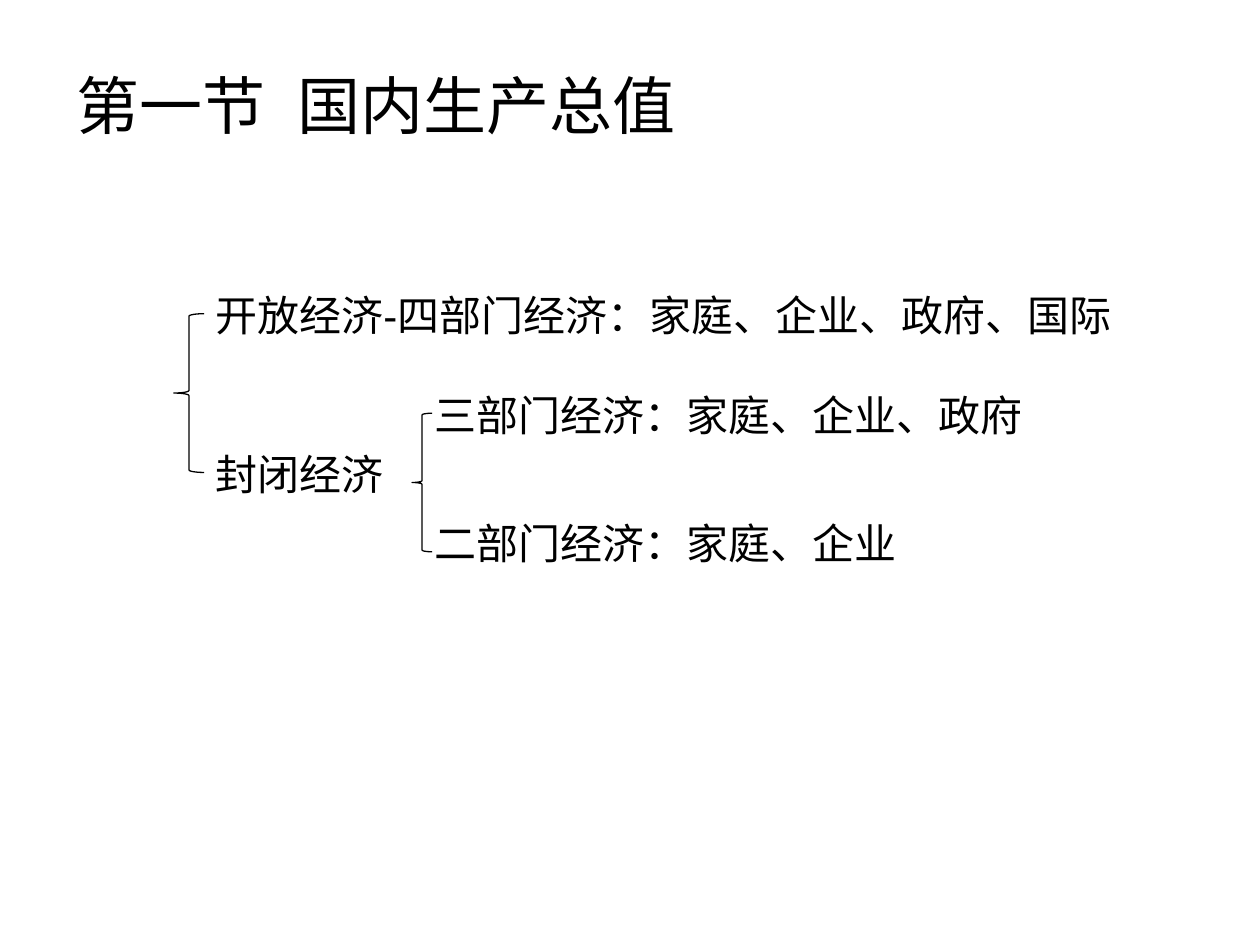
from pptx import Presentation
from pptx.dml.color import RGBColor
from pptx.enum.shapes import MSO_SHAPE
from pptx.enum.text import MSO_ANCHOR, MSO_AUTO_SIZE, PP_ALIGN
from pptx.util import Inches, Pt

# Content: text, then left, top, width, height in inches
TITLE = ("第一节\u2002国内生产总值", (0.51, 0.36, 9, 0.94))
LABELS = [
    ("开放经济-四部门经济：家庭、企业、政府、国际", (1.61, 2.25, 7.32, 0.9)),
    ("封闭经济", (1.61, 3.51, 1.65, 0.5)),
    ("三部门经济：家庭、企业、政府", (3.35, 3.04, 4.88, 0.5)),
    ("二部门经济：家庭、企业", (3.35, 4.06, 3.94, 0.5)),
]
BRACES = [(1.38, 2.49, 0.24, 1.26), (3.27, 3.28, 0.16, 1.1)]

INK = "000000"
TITLE_FONT = {"name": "Arial", "size": Pt(36), "bold": False}
LABEL_FONT = {"name": "Arial", "size": Pt(24), "bold": False}


def color(hex_value):
    return RGBColor.from_string(hex_value)


def inches(area):
    return [Inches(length) for length in area]


def write(box, text, font_values, anchor):
    frame = box.text_frame
    frame.word_wrap = True
    frame.vertical_anchor = anchor
    para = frame.paragraphs[0]
    para.alignment = PP_ALIGN.LEFT
    span = para.add_run()
    span.text = text
    for name, value in font_values.items():
        setattr(span.font, name, value)
    span.font.color.rgb = color(INK)


deck = Presentation()
deck.slide_width, deck.slide_height = Inches(10), Inches(7.5)
page = deck.slides.add_slide(deck.slide_layouts[5])

# Title
title_text, title_area = TITLE
title = page.shapes.title
title.left, title.top, title.width, title.height = inches(title_area)
write(title, title_text, TITLE_FONT, MSO_ANCHOR.MIDDLE)
title.text_frame.auto_size = MSO_AUTO_SIZE.NONE

# Labels of the classification tree
for text, area in LABELS:
    box = page.shapes.add_textbox(*inches(area))
    write(box, text, LABEL_FONT, MSO_ANCHOR.TOP)
    box.text_frame.auto_size = MSO_AUTO_SIZE.SHAPE_TO_FIT_TEXT

# Braces that group the branches
for area in BRACES:
    brace = page.shapes.add_shape(MSO_SHAPE.LEFT_BRACE, *inches(area))
    brace.shadow.inherit = False
    brace.fill.background()
    brace.line.color.rgb = color(INK)
    brace.line.width = Pt(0.75)

deck.save("out.pptx")
